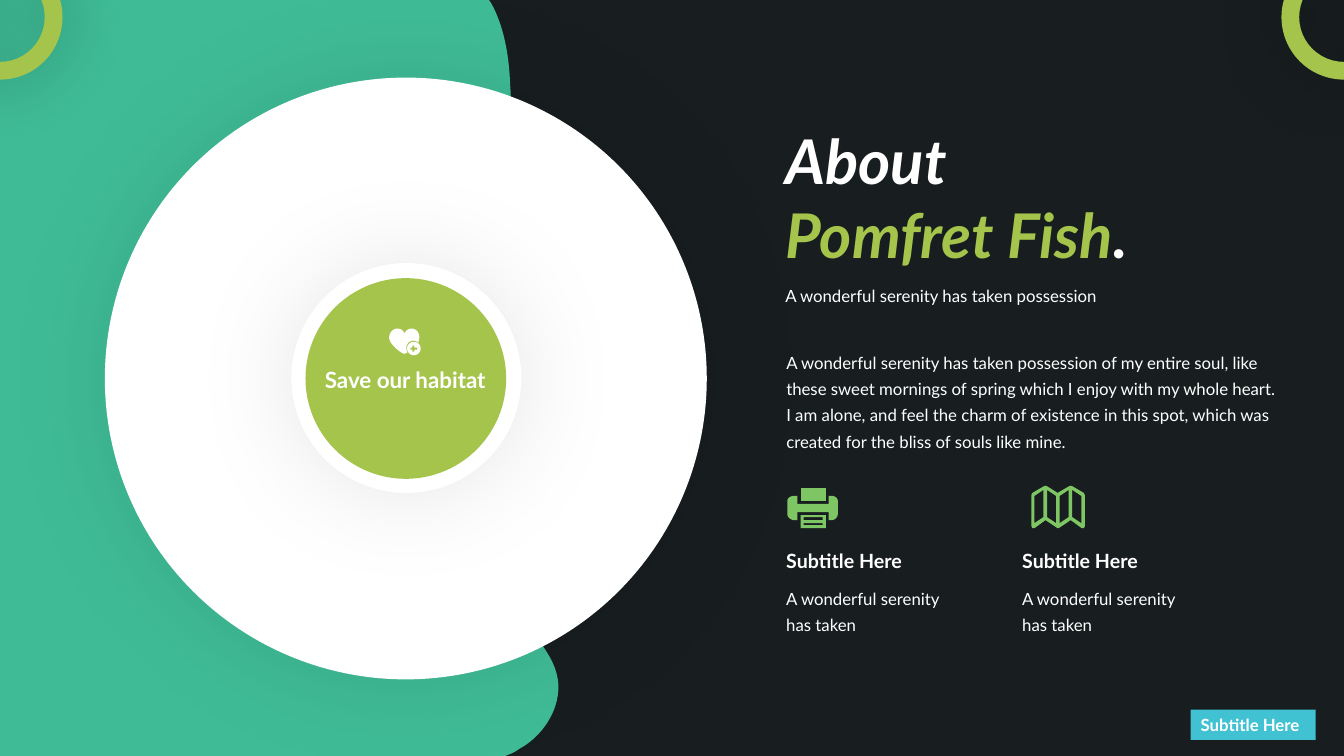
from math import cos, pi, sin

from lxml.etree import SubElement
from pptx import Presentation
from pptx.dml.color import RGBColor
from pptx.enum.shapes import MSO_SHAPE as Preset
from pptx.enum.text import MSO_ANCHOR as Anchor
from pptx.enum.text import MSO_AUTO_SIZE as AutoSize
from pptx.enum.text import PP_ALIGN as Align
from pptx.oxml.ns import qn
from pptx.util import Inches, Pt

COLORS = {
    "dark": "181E20",
    "teal": "3FBC96",
    "lime": "A5C44B",
    "green": "7EC564",
    "cyan": "40C2D2",
    "white": "FFFFFF",
    "black": "000000",
}

FORMATS = {
    "title": {"size": Pt(44), "bold": True, "italic": True},
    "body": {"size": Pt(12)},
    "subtitle": {"size": Pt(14), "bold": True},
    "tag": {"size": Pt(12), "bold": True},
    "badge": {"size": Pt(16), "bold": True},
}

INTRO = "A wonderful serenity has taken possession"
STORY = (
    "A wonderful serenity has taken possession of my entire soul, like these sweet "
    "mornings of spring which I enjoy with my whole heart. I am alone, and feel the "
    "charm of existence in this spot, which was created for the bliss of souls like mine."
)

BLOB = [
    (4.85, 0), (0, 0), (0, 7.5), (5.01, 7.5), (5.06, 7.48),
    (5.09, 7.47, 5.12, 7.45, 5.15, 7.43),
    (5.41, 7.29, 5.6, 6.97, 5.52, 6.68),
    (5.44, 6.38, 5.13, 6.19, 5.11, 5.89),
    (5.09, 5.57, 5.37, 5.34, 5.59, 5.12),
    (5.78, 4.92, 5.93, 4.66, 5.97, 4.37),
    (6.02, 4.08, 5.96, 3.78, 5.8, 3.55),
    (5.59, 3.27, 5.24, 3.13, 5.08, 2.83),
    (4.89, 2.49, 4.98, 2.07, 5.03, 1.67),
    (5.06, 1.4, 5.08, 1.11, 5.06, 0.84),
    (5.05, 0.56, 5, 0.26, 4.87, 0.03),
]

HEART = [
    (4.01, 3.31),
    (4.03, 3.27, 4.06, 3.26, 4.08, 3.26),
    (4.13, 3.26, 4.16, 3.3, 4.16, 3.35),
    (4.15, 3.4),
    (4.13, 3.38, 4.11, 3.38, 4.1, 3.38),
    (4.05, 3.38, 4.03, 3.42, 4.03, 3.46),
    (4.04, 3.5), (4.01, 3.51),
    (3.97, 3.5, 3.86, 3.41, 3.86, 3.35),
    (3.86, 3.3, 3.9, 3.26, 3.94, 3.26),
    (3.97, 3.26, 4, 3.27, 4.01, 3.31),
]

PLUS = [
    (4.09, 3.43), (4.09, 3.45), (4.07, 3.45), (4.07, 3.47), (4.09, 3.47), (4.09, 3.49),
    (4.11, 3.49), (4.11, 3.47), (4.14, 3.47), (4.14, 3.45), (4.11, 3.45), (4.11, 3.43),
]

PRINTER_BODY = [
    (7.88, 4.92), (7.91, 4.92), (7.91, 5), (8.22, 5), (8.22, 4.92), (8.25, 4.92),
    (8.28, 4.92, 8.31, 4.94, 8.31, 4.97), (8.31, 5.1),
    (8.31, 5.13, 8.28, 5.16, 8.25, 5.16), (8.22, 5.16), (8.22, 5.08), (7.91, 5.08),
    (7.91, 5.16), (7.88, 5.16), (7.84, 5.16, 7.81, 5.13, 7.81, 5.1), (7.81, 4.97),
    (7.81, 4.94, 7.84, 4.92, 7.88, 4.92),
]

MAP_EDGE = [
    (10.75, 4.89), (10.63, 4.82), (10.61, 4.82), (10.49, 4.89), (10.38, 4.82),
    (10.36, 4.82), (10.24, 4.89), (10.23, 4.91), (10.23, 5.22), (10.24, 5.24),
    (10.26, 5.24), (10.37, 5.16), (10.49, 5.24), (10.5, 5.24), (10.62, 5.16),
    (10.73, 5.24), (10.75, 5.24), (10.76, 5.22), (10.76, 4.91),
]


def rgb(color):
    """Return the named colour."""
    return RGBColor.from_string(COLORS[color])


def paint(shape, color):
    """Fill a shape plainly, without line or shadow."""
    shape.shadow.inherit = False
    shape.fill.solid()
    shape.fill.fore_color.rgb = rgb(color)
    shape.line.fill.background()


def add_glow(shape, opacity, blur):
    """Add a centred soft black shadow, opacity in percent and blur in points."""
    effects = shape._element.spPr.find(qn("a:effectLst"))
    shadow = SubElement(effects, qn("a:outerShdw"), blurRad=str(Pt(blur)), dist="0",
                        dir="0", algn="ctr", rotWithShape="0")
    tint = SubElement(shadow, qn("a:srgbClr"), val=COLORS["black"])
    SubElement(tint, qn("a:alpha"), val=str(opacity * 1000))


def add_preset(slide, preset, box, color, glow=None):
    """Add a filled preset shape."""
    shape = slide.shapes.add_shape(preset, *map(Inches, box))
    paint(shape, color)
    if glow:
        add_glow(shape, *glow)
    return shape


def flatten(contour, steps=16):
    """Turn points and cubic curve segments into a list of points."""
    points = []
    for segment in contour:
        if len(segment) == 2:
            points.append(segment)
            continue
        controls = [points[-1], segment[:2], segment[2:4], segment[4:]]
        for step in range(1, steps + 1):
            t = step / steps
            weights = ((1 - t) ** 3, 3 * t * (1 - t) ** 2, 3 * t * t * (1 - t), t ** 3)
            points.append(tuple(sum(weight * point[axis] for weight, point
                                    in zip(weights, controls)) for axis in (0, 1)))
    return [(Inches(x), Inches(y)) for x, y in points]


def add_outline(slide, color, *contours):
    """Add a freeform; contours after the first cut holes."""
    first, *holes = map(flatten, contours)
    builder = slide.shapes.build_freeform(*first[0])
    builder.add_line_segments(first[1:], close=True)
    for hole in holes:
        builder.move_to(*hole[0])
        builder.add_line_segments(hole[1:], close=True)
    paint(builder.convert_to_shape(), color)


def rectangle(left, top, right, bottom):
    """Return the corners of a rectangle."""
    return [(left, top), (right, top), (right, bottom), (left, bottom)]


def fill_text(shape, style, paragraphs, spacing=1.0, align=Align.LEFT, wrap=True):
    """Write paragraphs, each a list of (text, colour) runs."""
    frame = shape.text_frame
    frame.word_wrap = wrap
    frame.auto_size = AutoSize.SHAPE_TO_FIT_TEXT
    for index, runs in enumerate(paragraphs):
        paragraph = frame.add_paragraph() if index else frame.paragraphs[0]
        paragraph.alignment = align
        paragraph.line_spacing = spacing
        for text, color in runs:
            run = paragraph.add_run()
            run.text = text
            run.font.name = "Lato"
            run.font.color.rgb = rgb(color)
            for name, value in FORMATS[style].items():
                setattr(run.font, name, value)


def add_text(slide, box, style, paragraphs, **layout):
    """Add a text box; a plain string makes one white paragraph."""
    if isinstance(paragraphs, str):
        paragraphs = [[(paragraphs, "white")]]
    shape = slide.shapes.add_textbox(*map(Inches, box))
    shape.text_frame.vertical_anchor = Anchor.TOP
    fill_text(shape, style, paragraphs, **layout)


def add_printer(slide):
    """Draw the printer icon."""
    slots = [rectangle(7.97, top, 8.16, bottom) for top, bottom in ((5.13, 5.16), (5.19, 5.21))]
    add_outline(slide, "green", rectangle(7.94, 5.11, 8.19, 5.24), *slots)
    add_outline(slide, "green", rectangle(7.94, 4.84, 8.19, 4.97))
    add_outline(slide, "green", PRINTER_BODY)


def add_map(slide):
    """Draw the folded map icon with four slanted panels."""
    panels = []
    for index in range(4):
        left = 10.26 + 0.125 * index
        low, high = (left, left + 0.09) if index % 2 == 0 else (left + 0.09, left)
        panels.append([(high, 5.13), (low, 5.19), (low, 4.92), (high, 4.86)])
    add_outline(slide, "green", MAP_EDGE, *panels)


def add_heart(slide):
    """Draw the heart icon with its round plus badge."""
    angles = [2 * pi * step / 48 for step in range(48)]
    disc = [(4.105 + 0.067 * cos(angle), 3.458 + 0.067 * sin(angle)) for angle in angles]
    add_outline(slide, "white", disc, PLUS)
    add_outline(slide, "white", HEART)


def main():
    """Build the slide and save it."""
    presentation = Presentation()
    presentation.slide_width, presentation.slide_height = Inches(13.33), Inches(7.5)
    slide = presentation.slides.add_slide(presentation.slide_layouts[6])
    slide.background.fill.solid()
    slide.background.fill.fore_color.rgb = rgb("dark")

    add_outline(slide, "teal", BLOB)
    add_preset(slide, Preset.OVAL, (1.04, 0.77, 5.97, 5.97), "white", (9, 77))
    add_preset(slide, Preset.OVAL, (2.89, 2.61, 2.28, 2.28), "white", (9, 77))
    add_preset(slide, Preset.OVAL, (3.03, 2.76, 1.99, 1.99), "lime")

    add_text(slide, (7.69, 1.17, 5.22, 1.58), "title",
             [[("About", "white")], [("Pomfret Fish", "lime"), (".", "white")]])
    add_text(slide, (7.69, 2.69, 4.42, 0.37), "body", INTRO, spacing=1.5)
    add_text(slide, (7.7, 3.39, 5.09, 1.15), "body", STORY, spacing=1.3)
    for left in (7.7, 10.04):
        add_text(slide, (left, 5.73, 1.83, 0.6), "body",
                 "A wonderful serenity has taken", spacing=1.3)
        add_text(slide, (left, 5.4, 1.6, 0.34), "subtitle", "Subtitle Here")
    add_printer(slide)
    add_map(slide)

    tag = add_preset(slide, Preset.RECTANGLE, (11.81, 7.04, 1.24, 0.3), "cyan")
    fill_text(tag, "tag", [[("Subtitle Here", "white")]], wrap=False)
    for left in (-0.62, 12.71):
        ring = add_preset(slide, Preset.DONUT, (left, -0.45, 1.24, 1.24), "lime", (33, 49))
        ring.adjustments[0] = 0.142
    add_text(slide, (3.1, 3.58, 1.84, 0.64), "badge", "Save our habitat", align=Align.CENTER)
    add_heart(slide)
    presentation.save("out.pptx")


if __name__ == "__main__":
    main()
